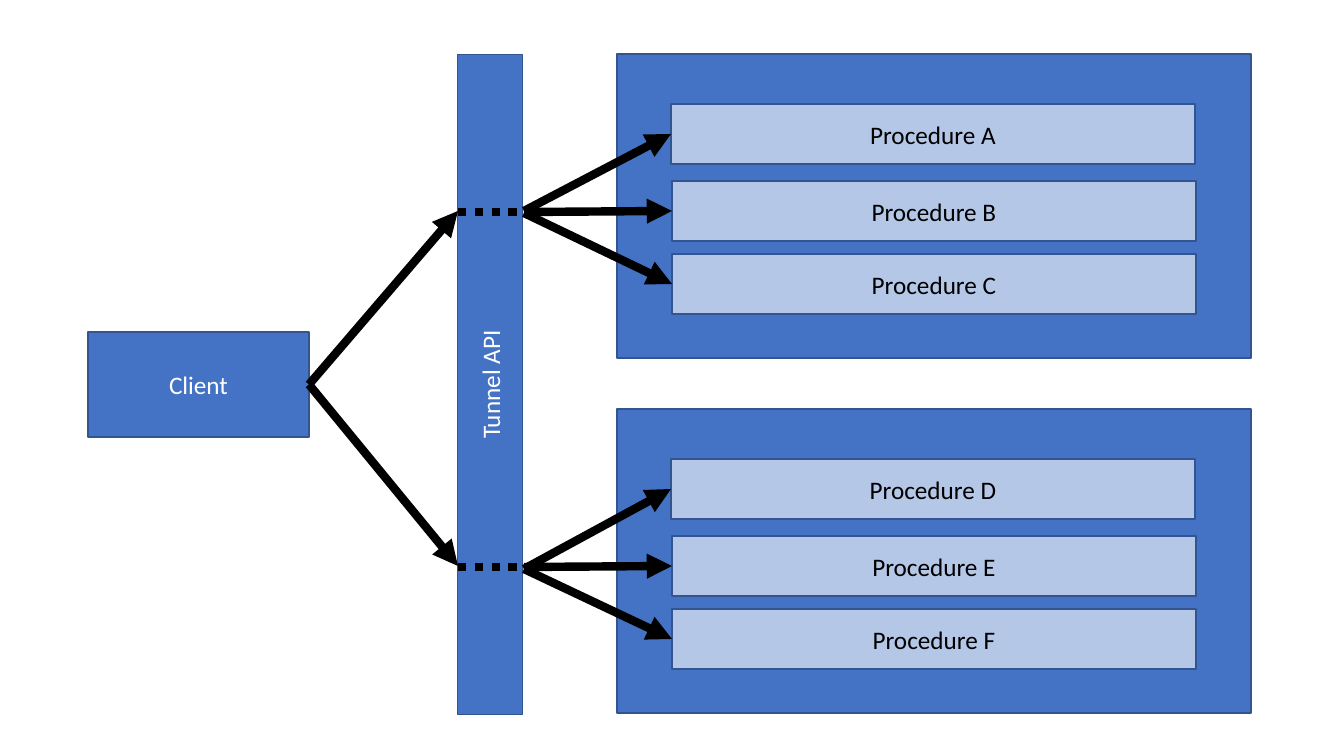
from lxml import etree
from pptx import Presentation
from pptx import util as u
from pptx.dml.color import RGBColor
from pptx.enum import dml, shapes, text
from pptx.oxml.ns import qn

BLUE = RGBColor(0x44, 0x72, 0xC4)
PALE_BLUE = RGBColor(0xB4, 0xC7, 0xE7)
EDGE = RGBColor(0x32, 0x54, 0x91)
BLACK = RGBColor(0, 0, 0)
WHITE = RGBColor(0xFF, 0xFF, 0xFF)

PX_PER_INCH = 100.8
LEFT_SIDE, RIGHT_SIDE = 1, 3


def px(length):
    return u.Emu(round(length * u.Inches(1) / PX_PER_INCH))


def write(frame, words, size=18, color=WHITE, font="Calibri"):
    frame.word_wrap = True
    frame.vertical_anchor = text.MSO_ANCHOR.MIDDLE
    paragraph = frame.paragraphs[0]
    paragraph.alignment = text.PP_ALIGN.CENTER
    run = paragraph.add_run()
    run.text = words
    run.font.name = font
    run.font.size = u.Pt(size)
    run.font.color.rgb = color


class Diagram:
    def __init__(self, slide):
        self.slide = slide
        self.edge_width = u.Pt(1)
        self.arrow_width = u.Pt(6)

    def box(self, left, top, width, height, words="", fill=BLUE, color=WHITE, rotation=0):
        box = self.slide.shapes.add_shape(
            shapes.MSO_SHAPE.RECTANGLE, px(left), px(top), px(width), px(height))
        box.shadow.inherit = False
        box.fill.solid()
        box.fill.fore_color.rgb = fill
        box.line.color.rgb = EDGE
        box.line.width = self.edge_width
        box.rotation = rotation
        if words:
            write(box.text_frame, words, color=color)
        return box

    def line(self, start, end):
        line = self.slide.shapes.add_connector(
            shapes.MSO_CONNECTOR.STRAIGHT, *map(px, start + end))
        line.line.color.rgb = BLACK
        line.line.width = self.arrow_width
        etree.SubElement(line._element.spPr, qn("a:effectLst"))
        return line

    def arrow(self, start, end, source=None, target=None):
        arrow = self.line(start, end)
        if source is not None:
            arrow.begin_connect(source, RIGHT_SIDE)
        if target is not None:
            arrow.end_connect(target, LEFT_SIDE)
        head = etree.SubElement(arrow.line._get_or_add_ln(), qn("a:tailEnd"))
        head.set("type", "triangle")

    def dots(self, start, end):
        self.line(start, end).line.dash_style = dml.MSO_LINE.ROUND_DOT


def main():
    prs = Presentation()
    prs.slide_width, prs.slide_height = px(1344), px(756)
    diagram = Diagram(prs.slides.add_slide(prs.slide_layouts[6]))

    # Tunnel and client
    diagram.box(160, 352, 660, 65, "Tunnel API", rotation=270)
    client = diagram.box(88, 332, 221, 105, "Client")

    # Servers: panel top, procedure letters, y where each arrow leaves the tunnel
    servers = [(54, "ABC", (211, 212, 213)), (409, "DEF", (569, 567, 569))]
    rows = [(671, 50), (672, 127), (672, 200)]
    for panel_top, letters, exits in servers:
        diagram.box(617, panel_top, 634, 304)
        for letter, (left, drop), exit_y in zip(letters, rows, exits):
            top = panel_top + drop
            procedure = diagram.box(left, top, 524, 60, f"Procedure {letter}",
                                    fill=PALE_BLUE, color=BLACK)
            diagram.arrow((524, exit_y), (left, top + 30), target=procedure)
        diagram.arrow((309, 384), (458, panel_top + 157), source=client)

    # Dotted passages through the tunnel
    for panel_top, *_ in servers:
        passage_y = panel_top + 158
        diagram.dots((458, passage_y), (525, passage_y))

    prs.save("out.pptx")


if __name__ == "__main__":
    main()
